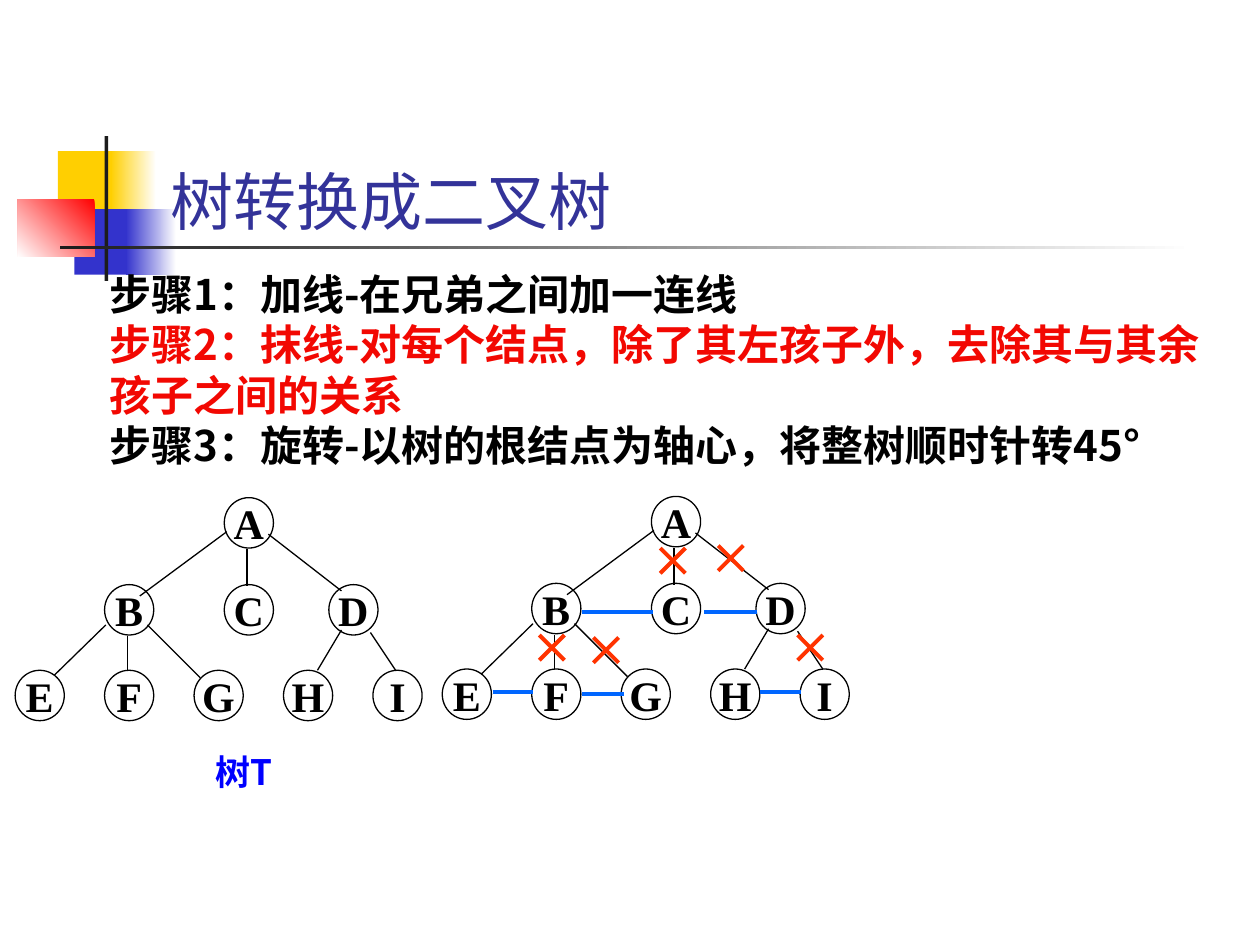
from lxml.etree import SubElement
from pptx import Presentation
from pptx.dml.color import RGBColor
from pptx.enum.shapes import MSO_CONNECTOR, MSO_SHAPE
from pptx.enum.text import MSO_ANCHOR, MSO_AUTO_SIZE, PP_ALIGN
from pptx.oxml.ns import qn
from pptx.util import Inches, Pt

THEME = {
    "title": ("Karla", 36, "333399", False),
    "step": ("Noto Sans CJK SC", 24, "000000", True),
    "key": ("Noto Sans CJK SC", 24, "F20802", True),
    "name": ("Noto Sans CJK SC", 20, "0000FF", True),
    "node": ("Times New Roman", 24, "000000", True),
    "edge": ("000000", 0.75),
    "link": ("0066FF", 2.25),
    "cross": ("FF3300", 2.25),
    "cjk": "Noto Sans CJK SC",
    "leading": 1.2,
}

TITLE = "树转换成二叉树"
STEPS = [
    ("步骤1：加线-在兄弟之间加一连线", "step"),
    ("步骤2：抹线-对每个结点，除了其左孩子外，去除其与其余孩子之间的关系", "key"),
    ("步骤3：旋转-以树的根结点为轴心，将整树顺时针转45°", "step"),
]
NAME = "树T"

DECOR = [
    ((0.46, 1.2, 0.48, 0.52), ["FFCF01"], 0),
    ((0.88, 1.2, 0.36, 0.52), ["FFFFFF", "FFCF01"], 180),
    ((0.59, 1.66, 0.46, 0.52), ["3333CC"], 0),
    ((1, 1.66, 0.4, 0.52), ["FFFFFF", "3333CC"], 180),
    ((0.14, 1.58, 0.61, 0.46), ["FF0000", "FFFFFF"], 225),
    ((0.83, 1.08, 0.03, 1.15), ["1C1C1C"], 0),
    ((0.48, 1.95, 9, 0.03), ["FFFFFF", "1C1C1C"], 180),
]

TREES = [(0, 0), (3.39, -0.01)]
NODE = (0.39, 0.4)
LEVELS = [
    (3.95, [("A", 1.78)]),
    (4.64, [("B", 0.83), ("C", 1.78), ("D", 2.61)]),
    (5.32, [(leaf, 0.12 + 0.71 * i) for i, leaf in enumerate("EFGHI")]),
]
EDGES = [
    (1.96, 4.36, 1.96, 4.65),
    (1.8, 4.22, 1.11, 4.73),
    (2.13, 4.24, 2.71, 4.69),
    (1.01, 5.05, 1.01, 5.32),
    (0.84, 4.96, 0.43, 5.36),
    (1.17, 4.96, 1.59, 5.38),
    (2.71, 5, 2.52, 5.32),
    (2.94, 5.02, 3.14, 5.32),
]
LINKS = [
    (4.62, 5.18, 4.86),
    (5.59, 6.01, 4.86),
    (3.91, 4.23, 5.49),
    (4.62, 4.95, 5.51),
    (6.03, 6.36, 5.49),
]
CROSSES = [(5.34, 4.45), (5.8, 4.43), (4.38, 5.14), (4.81, 5.16), (6.43, 5.14)]
ARM = 0.1


def color(code):
    return RGBColor.from_string(code)


def style(para, role):
    face, size, code, bold = THEME[role]
    for run in para.runs:
        font = run.font
        font.name, font.size, font.bold = face, Pt(size), bold
        font.color.rgb = color(code)
        east = SubElement(run._r.get_or_add_rPr(), qn("a:ea"))
        east.set("typeface", THEME["cjk"])


def place(shape, left, top, width, height):
    shape.left, shape.top = Inches(left), Inches(top)
    shape.width, shape.height = Inches(width), Inches(height)


def lead(para, role):
    para.line_spacing = Pt(THEME[role][1] * THEME["leading"])
    para.space_before = Pt(0)


def draw_line(shapes, ends, role):
    line = shapes.add_connector(MSO_CONNECTOR.STRAIGHT, *map(Inches, ends))
    code, width = THEME[role]
    line.line.color.rgb = color(code)
    line.line.width = Pt(width)
    SubElement(line._element.spPr, qn("a:effectLst"))


def draw_decor(shapes):
    for box, codes, angle in DECOR:
        block = shapes.add_shape(MSO_SHAPE.RECTANGLE, *map(Inches, box))
        block.shadow.inherit = False
        block.line.fill.background()
        if len(codes) == 1:
            block.fill.solid()
            block.fill.fore_color.rgb = color(codes[0])
        else:
            block.fill.gradient()
            block.fill.gradient_angle = angle
            for stop, code, pos in zip(block.fill.gradient_stops, codes, (0, 1)):
                stop.color.rgb = color(code)
                stop.position = pos


def draw_node(shapes, label, left, top):
    node = shapes.add_shape(MSO_SHAPE.OVAL, *map(Inches, (left, top, *NODE)))
    node.shadow.inherit = False
    node.fill.background()
    code, width = THEME["edge"]
    node.line.color.rgb = color(code)
    node.line.width = Pt(width)
    frame = node.text_frame
    frame.text = label
    frame.word_wrap = False
    frame.vertical_anchor = MSO_ANCHOR.MIDDLE
    frame.paragraphs[0].alignment = PP_ALIGN.CENTER
    style(frame.paragraphs[0], "node")


def draw_tree(shapes, dx, dy):
    group = shapes.add_group_shape().shapes
    for top, row in LEVELS:
        for label, left in row:
            draw_node(group, label, left + dx, top + dy)
    for x1, y1, x2, y2 in EDGES:
        draw_line(group, (x1 + dx, y1 + dy, x2 + dx, y2 + dy), "edge")


def fill_title(title):
    place(title, 1.25, 0.52, 8.25, 1.42)
    frame = title.text_frame
    frame.text = TITLE
    frame.auto_size = MSO_AUTO_SIZE.NONE
    frame.vertical_anchor = MSO_ANCHOR.BOTTOM
    frame.paragraphs[0].alignment = PP_ALIGN.LEFT
    style(frame.paragraphs[0], "title")


def fill_steps(body):
    place(body, 0.27, 2.05, 9.45, 1.7)
    frame = body.text_frame
    frame.text = "\n".join(text for text, role in STEPS)
    frame.auto_size = MSO_AUTO_SIZE.NONE
    frame.margin_top = Inches(0.08)
    for para, (text, role) in zip(frame.paragraphs, STEPS):
        lead(para, role)
        props = para._p.get_or_add_pPr()
        props.set("marL", str(Inches(0.5)))
        props.set("indent", "0")
        SubElement(props, qn("a:buNone"))
        style(para, role)


def draw_name(shapes):
    box = shapes.add_textbox(*map(Inches, (1.61, 5.88, 0.71, 0.44)))
    frame = box.text_frame
    frame.word_wrap = True
    frame.text = NAME
    frame.margin_top = Inches(0.08)
    lead(frame.paragraphs[0], "name")
    style(frame.paragraphs[0], "name")


def main():
    deck = Presentation()
    deck.slide_width, deck.slide_height = Inches(10), Inches(7.5)
    slide = deck.slides.add_slide(deck.slide_layouts[1])
    shapes = slide.shapes
    title, body = shapes.title, slide.placeholders[1]
    draw_decor(shapes)
    for holder in (title, body):
        shapes._spTree.append(holder._element)
    fill_title(title)
    fill_steps(body)
    for dx, dy in TREES:
        draw_tree(shapes, dx, dy)
    for x1, x2, y in LINKS:
        draw_line(shapes, (x1, y, x2, y), "link")
    draw_name(shapes)
    for x, y in CROSSES:
        group = shapes.add_group_shape().shapes
        for rise in (ARM, -ARM):
            draw_line(group, (x - ARM, y - rise, x + ARM, y + rise), "cross")
    deck.save("out.pptx")


if __name__ == "__main__":
    main()
